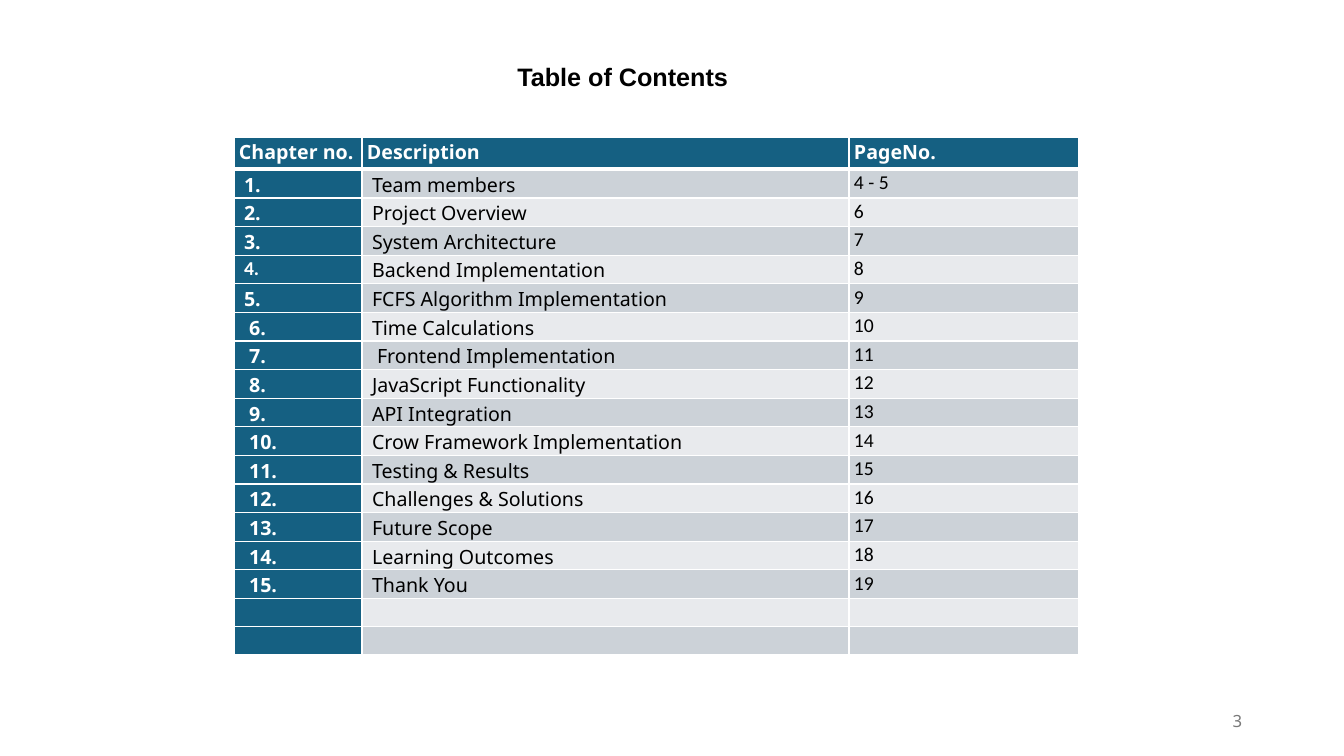
import pptx
import pptx.util
import pptx.dml.color
import pptx.enum.text
import pptx.oxml

Inches, Pt = pptx.util.Inches, pptx.util.Pt
RGB = pptx.dml.color.RGBColor.from_string
MIDDLE = pptx.enum.text.MSO_ANCHOR.MIDDLE

COLORS = {
    "head": "156082", "odd": "CCD2D8", "even": "E8EAED",
    "light": "FFFFFF", "dark": "000000", "number": "797979",
}
LINE = (
    '<a:{side} xmlns:a="http://schemas.openxmlformats.org/drawingml/2006/main" w="{width}">'
    '<a:solidFill><a:srgbClr val="{color}"/></a:solidFill></a:{side}>'
)
CHAPTERS = [
    ("Team members", "4 - 5"),
    ("Project Overview", "6"),
    ("System Architecture", "7"),
    ("Backend Implementation", "8"),
    ("FCFS Algorithm Implementation", "9"),
    ("Time Calculations", "10"),
    ("Frontend Implementation", "11"),
    ("JavaScript Functionality", "12"),
    ("API Integration", "13"),
    ("Crow Framework Implementation", "14"),
    ("Testing & Results", "15"),
    ("Challenges & Solutions", "16"),
    ("Future Scope", "17"),
    ("Learning Outcomes", "18"),
    ("Thank You", "19"),
]
COLUMN_WIDTHS = [1.27, 4.83, 2.28]
HEADER_HEIGHT, ROW_HEIGHT = 0.32, 0.28
INDENT = 0.05


def style_font(paragraph, name, size, color, bold=False):
    paragraph.font.name = name
    paragraph.font.size = Pt(size)
    paragraph.font.bold = bold
    paragraph.font.color.rgb = RGB(COLORS[color])


def draw_borders(cell, top, bottom):
    properties = cell._tc.get_or_add_tcPr()
    for side, points in (("lnL", 1), ("lnR", 1), ("lnT", top), ("lnB", bottom)):
        properties.append(pptx.oxml.parse_xml(
            LINE.format(side=side, width=Pt(points), color=COLORS["light"])))


deck = pptx.Presentation()
deck.slide_width, deck.slide_height = Inches(13.33), Inches(7.5)
slide = deck.slides.add_slide(deck.slide_layouts[5])

heading = slide.shapes.title
heading.left, heading.top = Inches(2.99), Inches(0.6)
heading.width, heading.height = Inches(7.35), Inches(0.44)
heading_frame = heading.text_frame
heading_frame.text = "Table of Contents"
heading_frame.auto_size = pptx.enum.text.MSO_AUTO_SIZE.NONE
heading_frame.vertical_anchor = MIDDLE
heading_frame.margin_left = Inches(2.14)
heading_frame.margin_top = heading_frame.margin_right = 0
heading_frame.margin_bottom = Inches(0.13)
heading_frame.paragraphs[0].alignment = pptx.enum.text.PP_ALIGN.LEFT
style_font(heading_frame.paragraphs[0], "Arial", 18, "dark", True)

rows = [("Chapter no.", "Description", "PageNo.")]
rows += [(f"{number}.", *chapter) for number, chapter in enumerate(CHAPTERS, 1)]
rows += [("", "", "")] * 2

contents = slide.shapes.add_table(
    len(rows), len(COLUMN_WIDTHS), Inches(2.32), Inches(1.36),
    Inches(sum(COLUMN_WIDTHS)), Inches(HEADER_HEIGHT + ROW_HEIGHT * (len(rows) - 1))).table
for column, width in zip(contents.columns, COLUMN_WIDTHS):
    column.width = Inches(width)

for row, texts in enumerate(rows):
    contents.rows[row].height = Inches(ROW_HEIGHT if row else HEADER_HEIGHT)
    for column, text in enumerate(texts):
        cell = contents.cell(row, column)
        strong = row == 0 or column == 0
        steps = 1
        if row and column == 0:
            steps = 2 if row < 6 else 3
        elif row and column == 1:
            steps = 3 if text == "Frontend Implementation" else 2
        cell.margin_left, cell.margin_right = Inches(INDENT * steps), Inches(INDENT)
        cell.margin_top = cell.margin_bottom = 0
        draw_borders(cell, 3 if row == 1 else 1, 3 if row == 0 else 1)
        cell.fill.solid()
        cell.fill.fore_color.rgb = RGB(
            COLORS["head" if strong else "odd" if row % 2 else "even"])
        cell.text = text
        entry = cell.text_frame.paragraphs[0]
        entry.line_spacing = 1.07
        entry.space_after = Pt(10.1)
        calibri = row and (column == 2 or (row, column) == (4, 0))
        style_font(entry, "Calibri" if calibri else "Noto Sans", 14,
                   "light" if strong else "dark", strong)

page = slide.shapes.add_textbox(Inches(9.42), Inches(6.95), Inches(3), Inches(0.4))
page.text_frame.word_wrap = True
page.text_frame.vertical_anchor = MIDDLE
page_number = page.text_frame.paragraphs[0]
page_number.text = "3"
page_number.alignment = pptx.enum.text.PP_ALIGN.RIGHT
style_font(page_number, "Noto Sans", 12, "number")

deck.save("out.pptx")
